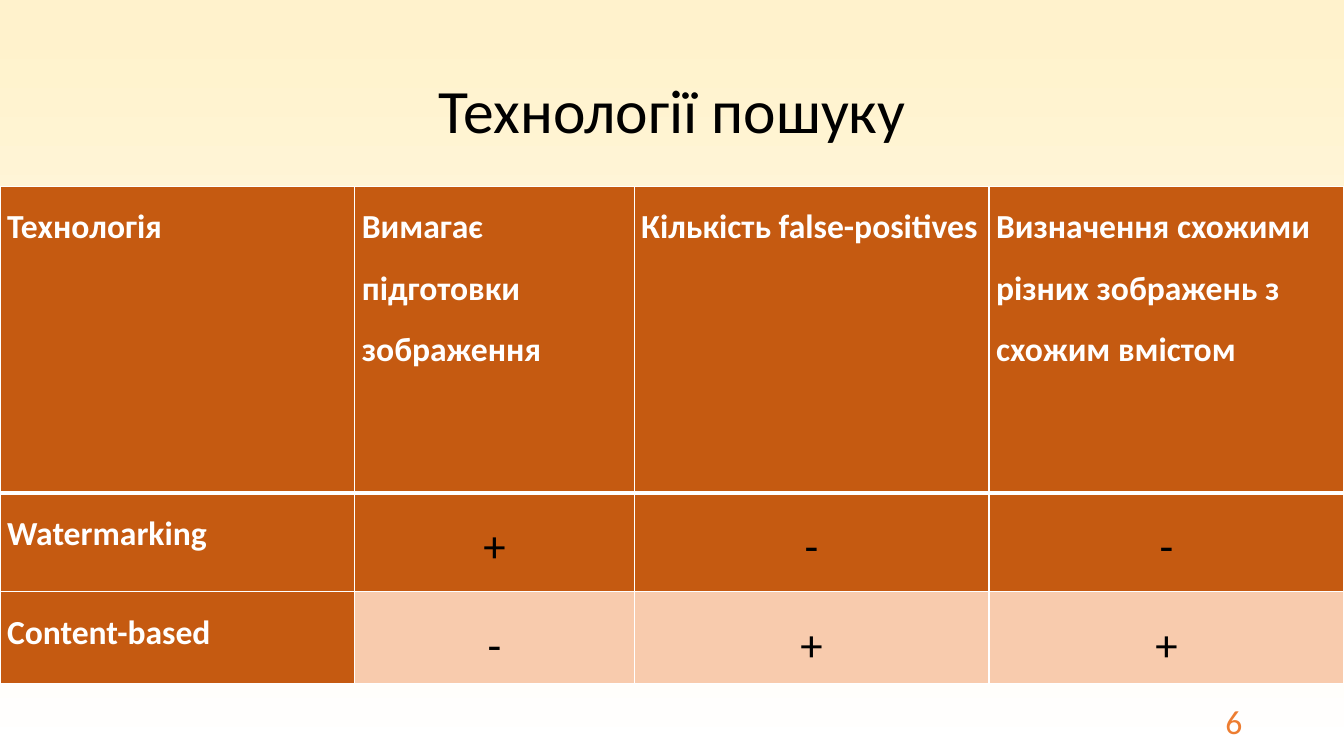
from dataclasses import dataclass

from lxml import etree
from pptx import Presentation
from pptx.dml.color import RGBColor
from pptx.enum.text import MSO_ANCHOR, PP_ALIGN
from pptx.oxml.ns import qn
from pptx.util import Inches, Pt

LEFT, CENTER, RIGHT = PP_ALIGN.LEFT, PP_ALIGN.CENTER, PP_ALIGN.RIGHT
MIDDLE = MSO_ANCHOR.MIDDLE

TITLE = "Технології пошуку"
PAGE_NUMBER = "6"
ROWS = [
    ["Технологія", "Вимагає підготовки зображення", "Кількість false-positives",
     "Визначення схожими різних зображень з схожим вмістом"],
    ["Watermarking", "+", "-", "-"],
    ["Content-based", "-", "+", "+"],
]
COLUMN_WIDTHS = [3.52, 2.77, 3.52, 3.52]
ROW_HEIGHTS = [3.04, 0.98, 0.91]


@dataclass(frozen=True)
class Theme:
    font: str = "Calibri"
    ink: str = "000000"
    white: str = "FFFFFF"
    cream: str = "FFF2CC"
    rust: str = "C55A11"
    peach: str = "F8CBAD"
    orange: str = "ED7D31"
    title_size: int = 44
    label_size: int = 24
    mark_size: int = 32
    thin_line: int = 1
    thick_line: int = 3


THEME = Theme()


def write(frame, text, size, color, align, bold=False, spacing=None):
    frame.word_wrap = True
    para = frame.paragraphs[0]
    para.text = text
    para.alignment = align
    para.line_spacing = spacing
    para.font.name = THEME.font
    para.font.size = Pt(size)
    para.font.bold = bold
    para.font.color.rgb = RGBColor.from_string(color)


def set_borders(cell, widths):
    properties = cell._tc.get_or_add_tcPr()
    for index, (side, width) in enumerate(widths.items()):
        line = etree.Element(qn(f"a:ln{side}"), w=str(Pt(width)))
        fill = etree.SubElement(line, qn("a:solidFill"))
        etree.SubElement(fill, qn("a:srgbClr"), val=THEME.white)
        properties.insert(index, line)


def paint_background(page):
    fill = page.background.fill
    fill.gradient()
    fill.gradient_angle = 270
    for stop, position, color in zip(
        fill.gradient_stops, (0.04, 1), (THEME.cream, THEME.white)
    ):
        stop.position = position
        stop.color.rgb = RGBColor.from_string(color)


def add_title(page):
    title = page.shapes.title
    title.left, title.top = Inches(0.92), Inches(0.4)
    title.width, title.height = Inches(11.5), Inches(1.45)
    title.text_frame.vertical_anchor = MIDDLE
    write(title.text_frame, TITLE, THEME.title_size, THEME.ink, CENTER, spacing=0.9)


def add_comparison(page):
    table = page.shapes.add_table(
        len(ROWS), len(COLUMN_WIDTHS), Inches(0), Inches(1.85),
        Inches(sum(COLUMN_WIDTHS)), Inches(sum(ROW_HEIGHTS)),
    ).table
    for column, width in zip(table.columns, COLUMN_WIDTHS):
        column.width = Inches(width)
    for row, height in zip(table.rows, ROW_HEIGHTS):
        row.height = Inches(height)

    for row_index, row in enumerate(ROWS):
        for column_index, text in enumerate(row):
            cell = table.cell(row_index, column_index)
            is_label = row_index == 0 or column_index == 0
            is_light = row_index == 2 and not is_label
            cell.margin_left = cell.margin_right = Inches(0.07)
            cell.margin_top = cell.margin_bottom = Inches(0)
            cell.fill.solid()
            cell.fill.fore_color.rgb = RGBColor.from_string(
                THEME.peach if is_light else THEME.rust
            )
            set_borders(cell, {
                "L": THEME.thin_line,
                "R": THEME.thin_line,
                "T": THEME.thick_line if row_index == 1 else THEME.thin_line,
                "B": THEME.thick_line if row_index == 0 else THEME.thin_line,
            })
            if is_label:
                style = (THEME.label_size, THEME.white, LEFT)
            else:
                style = (THEME.mark_size, THEME.ink, CENTER)
            write(cell.text_frame, text, *style, bold=is_label, spacing=1.5)


def add_page_number(page):
    box = page.shapes.add_textbox(Inches(9.42), Inches(6.95), Inches(3), Inches(0.4))
    box.text_frame.vertical_anchor = MIDDLE
    write(box.text_frame, PAGE_NUMBER, THEME.label_size, THEME.orange, RIGHT)


def main():
    deck = Presentation()
    deck.slide_width, deck.slide_height = Inches(13.33), Inches(7.5)
    page = deck.slides.add_slide(deck.slide_layouts[5])
    paint_background(page)
    add_title(page)
    add_comparison(page)
    add_page_number(page)
    deck.save("out.pptx")


if __name__ == "__main__":
    main()
